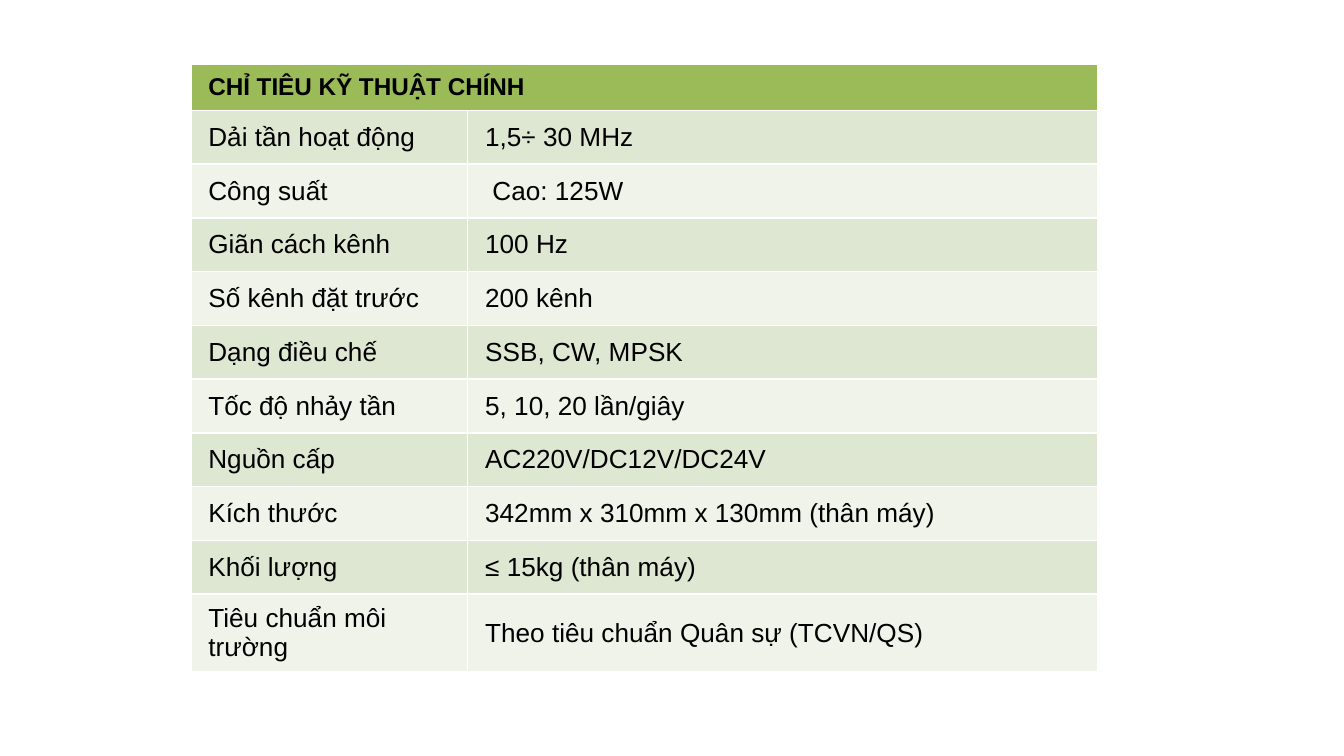
from lxml.etree import SubElement
from pptx import Presentation
from pptx.dml.color import RGBColor
from pptx.enum.text import MSO_ANCHOR as Anchor
from pptx.oxml.ns import qn
from pptx.util import Inches, Pt

SPECS = [
    ("CHỈ TIÊU KỸ THUẬT CHÍNH", ""),
    ("Dải tần hoạt động", "1,5÷ 30 MHz"),
    ("Công suất", " Cao: 125W"),
    ("Giãn cách kênh", "100 Hz"),
    ("Số kênh đặt trước", "200 kênh"),
    ("Dạng điều chế", "SSB, CW, MPSK"),
    ("Tốc độ nhảy tần", "5, 10, 20 lần/giây"),
    ("Nguồn cấp", "AC220V/DC12V/DC24V"),
    ("Kích thước", "342mm x 310mm x 130mm (thân máy)"),
    ("Khối lượng", "≤ 15kg (thân máy)"),
    ("Tiêu chuẩn môi trường", "Theo tiêu chuẩn Quân sự (TCVN/QS)"),
]
COLUMN_WIDTHS = [2.06, 4.69]
ROW_HEIGHTS = [0.33] + [0.4] * 9 + [0.57]
HEADER_FILL, BAND_FILLS = "9BBB59", ["EFF3EA", "DEE7D1"]
CELL_FORMAT = {
    "margin_left": Inches(0.13),
    "margin_right": Inches(0.13),
    "margin_top": Inches(0.07),
    "margin_bottom": Inches(0.07),
    "vertical_anchor": Anchor.MIDDLE,
}


def color(hex_value):
    return RGBColor.from_string(hex_value)


def add_borders(cell):
    """Draw white borders; call before filling, as the schema puts lines first."""
    props = cell._tc.get_or_add_tcPr()
    for side in "LRTB":
        line = SubElement(props, qn(f"a:ln{side}"), w=str(Pt(1)))
        fill = SubElement(line, qn("a:solidFill"))
        SubElement(fill, qn("a:srgbClr"), val="FFFFFF")


deck = Presentation()
deck.slide_width = Inches(10)
deck.slide_height = Inches(10 * 9 / 16)
page = deck.slides.add_slide(deck.slide_layouts[6])

table = page.shapes.add_table(
    len(SPECS), len(COLUMN_WIDTHS), Inches(1.42), Inches(0.48),
    Inches(sum(COLUMN_WIDTHS)), Inches(sum(ROW_HEIGHTS)),
).table
for column, width in zip(table.columns, COLUMN_WIDTHS):
    column.width = Inches(width)
for row, height in zip(table.rows, ROW_HEIGHTS):
    row.height = Inches(height)
table.cell(0, 0).merge(table.cell(0, 1))

for row_index, texts in enumerate(SPECS):
    is_header = row_index == 0
    font_format = {"name": "Arial", "size": Pt(13 if is_header else 14), "bold": is_header}
    for column_index, text in enumerate(texts):
        cell = table.cell(row_index, column_index)
        for name, value in CELL_FORMAT.items():
            setattr(cell, name, value)
        add_borders(cell)
        cell.fill.solid()
        cell.fill.fore_color.rgb = color(HEADER_FILL if is_header else BAND_FILLS[row_index % 2])
        if not text:
            continue
        span = cell.text_frame.paragraphs[0].add_run()
        span.text = text
        for name, value in font_format.items():
            setattr(span.font, name, value)
        span.font.color.rgb = color("000000")

deck.save("out.pptx")
